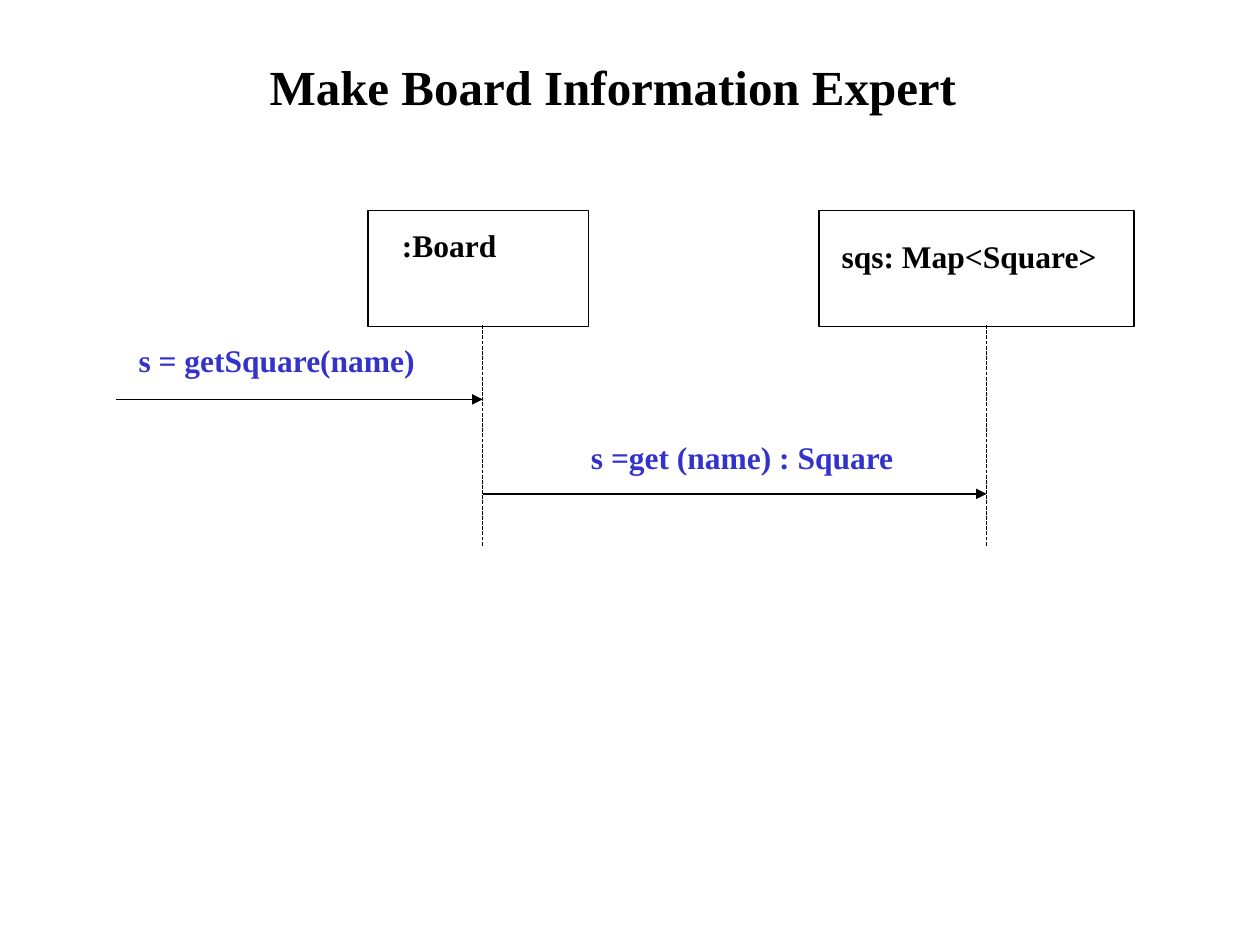
from pptx import Presentation
from pptx.dml.color import RGBColor
from pptx.enum import dml, shapes, text
from pptx.oxml.ns import qn
from pptx.util import Inches, Pt
from lxml import etree

BLACK = RGBColor(0x00, 0x00, 0x00)
BLUE = RGBColor(0x33, 0x33, 0xCC)
FONT = "Times New Roman"

BOX_TOP, BOX_H = 1.67, 0.92
LIFE_TOP, LIFE_END = 2.58, 4.33
BOARD_X, MAP_X = 3.83, 7.83


def write(shape, runs, size, color, left=0, top=0):
    """Fill a shape with one left-aligned paragraph, run by run."""
    frame = shape.text_frame
    frame.word_wrap = True
    frame.auto_size = text.MSO_AUTO_SIZE.NONE
    frame.vertical_anchor = text.MSO_ANCHOR.TOP
    frame.margin_left, frame.margin_top = Inches(left), Inches(top)
    frame.margin_right = frame.margin_bottom = 0
    para = frame.paragraphs[0]
    para.alignment = text.PP_ALIGN.LEFT
    para.line_spacing = 1.0
    para.space_before = Pt(0)
    for words in runs:
        run = para.add_run()
        run.text = words
        font = run.font
        font.name, font.size, font.bold = FONT, Pt(size), True
        font.color.rgb = color


def add_title(slide, runs):
    title = slide.shapes.title
    title.left, title.top = Inches(0.43), Inches(0.35)
    title.width, title.height = Inches(8.82), Inches(0.96)
    write(title, runs, 28, BLACK, left=1.71, top=0.1)


def add_object(slide, x, width, runs, left, top):
    """Draw the head box of a lifeline."""
    box = slide.shapes.add_shape(
        shapes.MSO_SHAPE.RECTANGLE,
        Inches(x), Inches(BOX_TOP), Inches(width), Inches(BOX_H))
    box.shadow.inherit = False
    box.fill.background()
    box.line.color.rgb = BLACK
    box.line.width = Pt(0.75)
    write(box, runs, 18, BLACK, left, top)


def add_line(slide, x1, y1, x2, y2):
    line = slide.shapes.add_connector(
        shapes.MSO_CONNECTOR.STRAIGHT,
        Inches(x1), Inches(y1), Inches(x2), Inches(y2))
    line.line.color.rgb = BLACK
    line.line.width = Pt(0.75)
    etree.SubElement(line._element.spPr, qn("a:effectLst"))
    return line


def add_life(slide, x):
    line = add_line(slide, x, LIFE_TOP, x, LIFE_END)
    line.line.dash_style = dml.MSO_LINE.SQUARE_DOT


def add_call(slide, x1, x2, y):
    """Draw a message arrow from left to right."""
    line = add_line(slide, x1, y, x2, y)
    etree.SubElement(line.line._get_or_add_ln(), qn("a:tailEnd"),
                     type="triangle", w="med", len="med")


def add_label(slide, x, y, runs):
    box = slide.shapes.add_textbox(
        Inches(x), Inches(y), Inches(2.6), Inches(0.3))
    write(box, runs, 18, BLUE)


def main():
    deck = Presentation()
    deck.slide_width, deck.slide_height = Inches(10), Inches(7.5)
    slide = deck.slides.add_slide(deck.slide_layouts[5])
    add_title(slide, ["Make Board Information ", "Expert"])

    # Lifelines and their objects
    for x in (BOARD_X, MAP_X):
        add_life(slide, x)
    add_object(slide, 2.92, 1.75, [":Board"], 0.27, 0.12)
    add_object(slide, 6.5, 2.5, ["sqs: ", "Map<Square>"], 0.18, 0.21)

    # Messages
    add_call(slide, 0.92, BOARD_X, 3.17)
    add_call(slide, BOARD_X, MAP_X, 3.92)
    add_label(slide, 1.1, 2.71, ["s = ", "getSquare(name)"])
    add_label(slide, 4.69, 3.48, ["s =get (name) : ", "Square"])

    deck.save("out.pptx")


if __name__ == "__main__":
    main()
